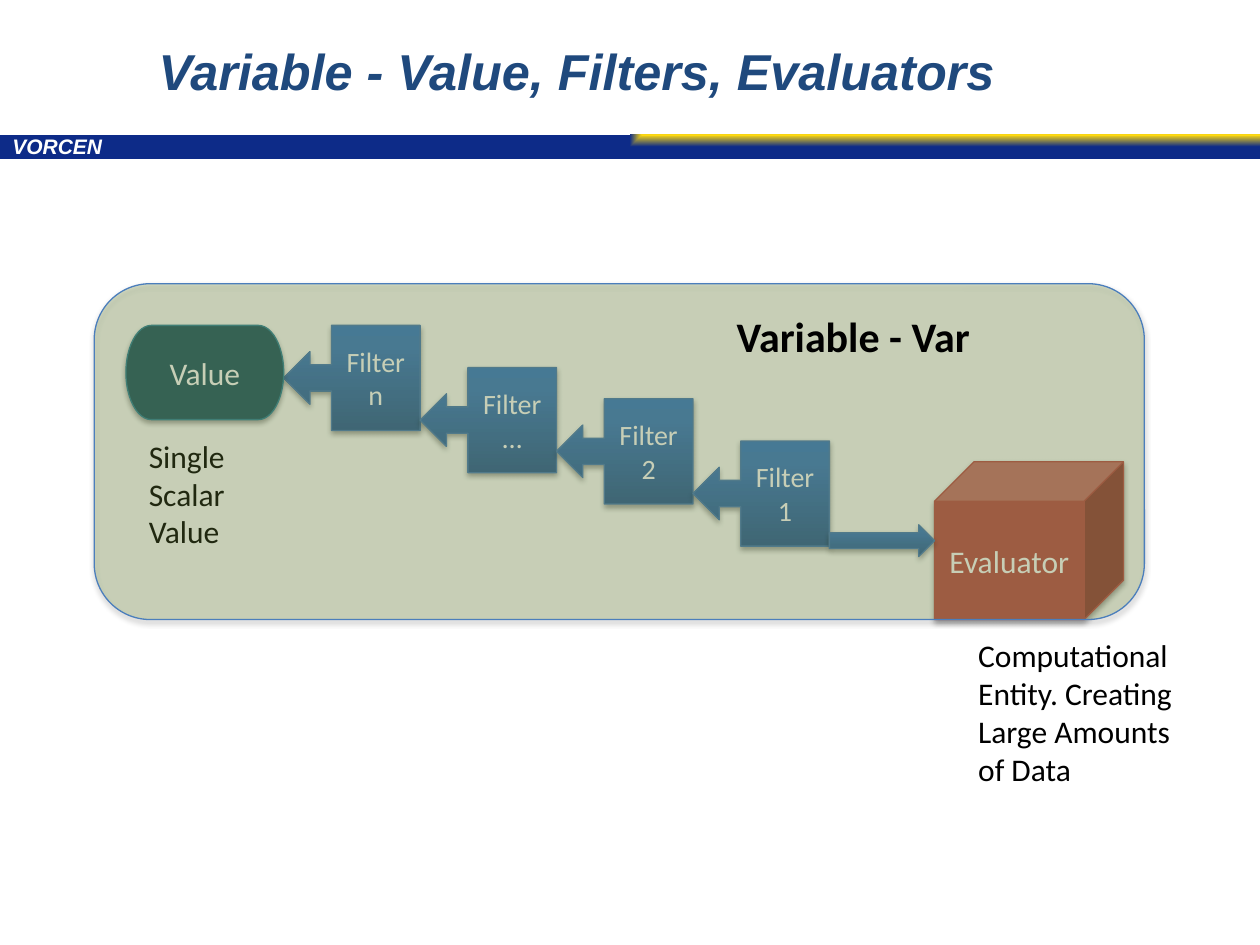
from pptx import Presentation
from pptx.dml.color import RGBColor
from pptx.enum.shapes import MSO_SHAPE as SHAPE
from pptx.enum.text import MSO_ANCHOR as ANCHOR, MSO_AUTO_SIZE as AUTO, PP_ALIGN as ALIGN
from pptx.oxml import parse_xml
from pptx.oxml.ns import nsdecls, qn
from pptx.util import Cm, Pt

WHITE = RGBColor(0xFF, 0xFF, 0xFF)
BLACK = RGBColor(0x00, 0x00, 0x00)
NAVY = RGBColor(0x1F, 0x49, 0x7D)
YELLOW = RGBColor(0xFE, 0xD9, 0x10)
BAR_BLUE = RGBColor(0x0D, 0x2B, 0x88)
BLUE_LINE = RGBColor(0x4B, 0x7E, 0xBC)
BLUE_DARK = RGBColor(0x2F, 0x5F, 0x99)
BLUE_MID = RGBColor(0x3D, 0x7C, 0xC7)
BLUE_LIGHT = RGBColor(0x3A, 0x7C, 0xCB)
RED = RGBColor(0xC0, 0x50, 0x4D)
TEAL = RGBColor(0x21, 0x59, 0x68)
TEAL_LINE = RGBColor(0x31, 0x85, 0x9C)
GREEN = RGBColor(0x77, 0x93, 0x3C)

BLUE_STOPS = [(0, BLUE_DARK), (80, BLUE_MID), (100, BLUE_LIGHT)]
UPWARD = '<a:lin ang="16200000" scaled="0"/>'
BAR_STOPS = [(0, YELLOW), (100, BAR_BLUE)]
TOP_RIGHT = '<a:path path="rect"><a:fillToRect l="100000" b="100000"/></a:path>'


def add_block(kind, box, fill, line=None, text="", size=18, direction=UPWARD):
    sp = s.shapes.add_shape(kind, *[Cm(v) for v in box])
    sp.shadow.inherit = False
    sp.fill.solid()
    if isinstance(fill, list):
        stops = "".join(f'<a:gs pos="{pos * 1000}"><a:srgbClr val="{color}"/></a:gs>'
                        for pos, color in fill)
        solid = sp._element.spPr.find(qn("a:solidFill"))
        solid.getparent().replace(solid, parse_xml(
            f'<a:gradFill {nsdecls("a")} rotWithShape="1">'
            f'<a:gsLst>{stops}</a:gsLst>{direction}</a:gradFill>'))
    else:
        sp.fill.fore_color.rgb = fill
    if line is None:
        sp.line.fill.background()
    else:
        sp.line.color.rgb = line
        sp.line.width = Pt(0.75)
        sp._element.spPr.find(qn("a:effectLst")).append(parse_xml(
            f'<a:outerShdw {nsdecls("a")} blurRad="40000" dist="23000" dir="5400000" '
            'rotWithShape="0"><a:srgbClr val="000000"><a:alpha val="35000"/>'
            '</a:srgbClr></a:outerShdw>'))
    if text:
        sp.text_frame.vertical_anchor = ANCHOR.MIDDLE
        p = sp.text_frame.paragraphs[0]
        p.text = text
        p.alignment = ALIGN.CENTER
        p.font.name, p.font.size, p.font.color.rgb = "Calibri", Pt(size), WHITE
    return sp


def add_label(box, lines, size=18, font="Calibri", color=BLACK, bold=False, wrap=True):
    tf = s.shapes.add_textbox(*[Cm(v) for v in box]).text_frame
    tf.word_wrap = wrap
    tf.auto_size = AUTO.SHAPE_TO_FIT_TEXT
    tf.text = "\n".join(lines)
    for p in tf.paragraphs:
        p.font.name, p.font.size, p.font.color.rgb = font, Pt(size), color
        p.font.bold = bold
    return tf


prs = Presentation()
prs.slide_width, prs.slide_height = Cm(25.4), Cm(19.05)
s = prs.slides.add_slide(prs.slide_layouts[5])

add_block(SHAPE.RECTANGLE, (0, 2.72, 25.4, 0.48), BAR_STOPS, direction=TOP_RIGHT)
p = add_label((0, 2.67, 13.97, 0.66), ["VORCEN"], 12, "Arial", WHITE, True).paragraphs[0]
p.font.italic = True
p.line_spacing = 0.8

title = s.shapes.title
title.left, title.top, title.width, title.height = Cm(2.74), Cm(0.05), Cm(17.78), Cm(2.72)
tf = title.text_frame
tf.text = "Variable - Value, Filters, Evaluators"
tf.auto_size = AUTO.NONE
tf.vertical_anchor = ANCHOR.MIDDLE
p = tf.paragraphs[0]
p.alignment = ALIGN.CENTER
p.font.name, p.font.size, p.font.color.rgb = "Arial", Pt(28.8), NAVY
p.font.bold = p.font.italic = True

filters = [("n", 6.56), ("…", 7.41), ("2", 8.04), ("1", 8.89)]
for i, (name, top) in enumerate(filters):
    add_block(SHAPE.LEFT_ARROW_CALLOUT, (5.72 + 2.75 * i, top, 2.75, 2.12),
              BLUE_STOPS, BLUE_LINE, f"Filter {name}", 16)

add_block(SHAPE.CUBE, (18.84, 9.31, 3.81, 3.18), RED, RED, "Evaluator")
add_block(SHAPE.FLOWCHART_TERMINATOR, (2.54, 6.56, 3.18, 1.9), TEAL, TEAL_LINE, "Value")
add_block(SHAPE.RIGHT_ARROW, (16.72, 10.58, 2.12, 0.64), BLUE_STOPS, BLUE_LINE)

add_label((2.75, 8.68, 2.06, 2.57), ["Single", "Scalar", "Value"], wrap=False)
add_label((19.47, 12.7, 4.45, 3.33),
          ["Computational", "Entity. Creating", "Large Amounts of Data"])

panel = add_block(SHAPE.ROUNDED_RECTANGLE, (1.9, 5.72, 21.17, 6.77), GREEN, BLUE_LINE)
color = panel._element.spPr.find(qn("a:solidFill")).find(qn("a:srgbClr"))
color.append(parse_xml(f'<a:alpha {nsdecls("a")} val="28000"/>'))
add_label((14.6, 6.14, 5.26, 1.28), ["Variable - Var"], 24, bold=True, wrap=False)

prs.save("out.pptx")
